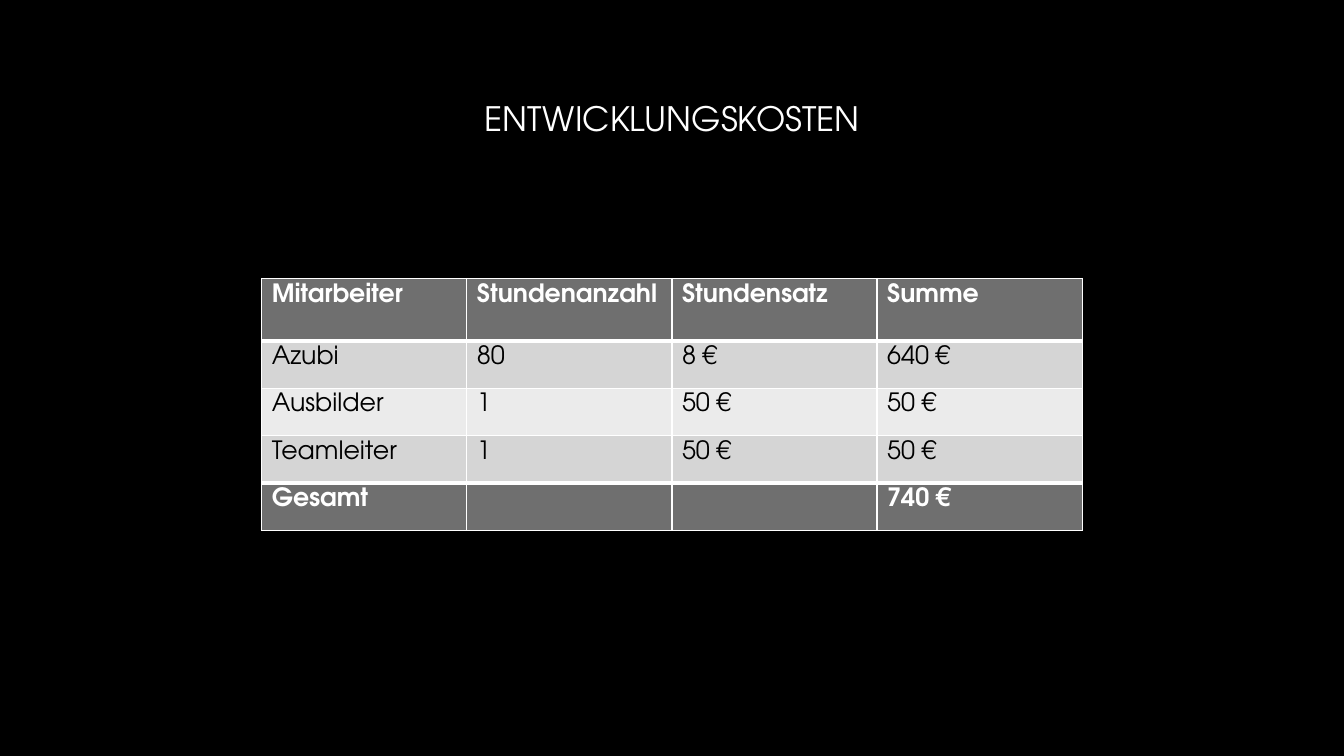
from lxml import etree
from pptx import Presentation
from pptx.dml.color import RGBColor
from pptx.enum.text import MSO_ANCHOR, PP_ALIGN
from pptx.oxml.ns import qn
from pptx.util import Pt

CENTER = PP_ALIGN.CENTER
TOP, MIDDLE = MSO_ANCHOR.TOP, MSO_ANCHOR.MIDDLE

# Content
TITLE = "ENTWICKLUNGSKOSTEN"
COSTS = [
    ("Mitarbeiter", "Stundenanzahl", "Stundensatz", "Summe"),
    ("Azubi", "80", "8 €", "640 €"),
    ("Ausbilder", "1", "50 €", "50 €"),
    ("Teamleiter", "1", "50 €", "50 €"),
    ("Gesamt", "", "", "740 €"),
]

# Look
FONT = "TeX Gyre Adventor"
BLACK, WHITE = "000000", "FFFFFF"
TITLE_GRADIENT = (WHITE, "A6A6A6")
DARK, BANDS = "6F6F6F", ("EBEBEB", "D5D5D5")
THIN, THICK = 1, 3

# Lengths in points
SLIDE_WIDTH, SLIDE_HEIGHT = 960, 540
TITLE_BOX = (90, 48.24, 780, 72.72)
TABLE_TOP, COLUMN_WIDTH = 198.9, 146.5
HEADER_HEIGHT, ROW_HEIGHT = 44.6, 33.8
SIDE_MARGIN, TOP_MARGIN = 7.2, 3.6


def color(value):
    return RGBColor.from_string(value)


def set_borders(cell, top, bottom):
    properties = cell._tc.get_or_add_tcPr()
    for side, width in (("L", THIN), ("R", THIN), ("T", top), ("B", bottom)):
        line = etree.SubElement(properties, qn(f"a:ln{side}"), w=str(Pt(width)))
        fill = etree.SubElement(line, qn("a:solidFill"))
        etree.SubElement(fill, qn("a:srgbClr"), val=WHITE)


presentation = Presentation()
presentation.slide_width = Pt(SLIDE_WIDTH)
presentation.slide_height = Pt(SLIDE_HEIGHT)
slide = presentation.slides.add_slide(presentation.slide_layouts[5])
slide.background.fill.solid()
slide.background.fill.fore_color.rgb = color(BLACK)

# Title
title = slide.shapes.title
title.left, title.top, title.width, title.height = map(Pt, TITLE_BOX)
title.text_frame.vertical_anchor = MIDDLE
paragraph = title.text_frame.paragraphs[0]
paragraph.alignment = CENTER
run = paragraph.add_run()
run.text = TITLE
run.font.name, run.font.size = FONT, Pt(24)
run.font.fill.gradient()
run.font.fill.gradient_angle = 267
for stop, value in zip(run.font.fill.gradient_stops, TITLE_GRADIENT):
    stop.color.rgb = color(value)

# Cost table, centred on the slide
row_count, column_count = len(COSTS), len(COSTS[0])
last = row_count - 1
table_width = column_count * COLUMN_WIDTH
table_height = HEADER_HEIGHT + last * ROW_HEIGHT
table = slide.shapes.add_table(
    row_count, column_count, Pt((SLIDE_WIDTH - table_width) / 2),
    Pt(TABLE_TOP), Pt(table_width), Pt(table_height)).table
table.last_row = True
for column in table.columns:
    column.width = Pt(COLUMN_WIDTH)

for row_index, texts in enumerate(COSTS):
    strong = row_index in (0, last)
    table.rows[row_index].height = Pt(ROW_HEIGHT if row_index else HEADER_HEIGHT)
    # Thick rules lie below the header and above the total
    top = THICK if row_index in (1, last) else THIN
    bottom = THICK if row_index in (0, last - 1) else THIN
    for column_index, text in enumerate(texts):
        cell = table.cell(row_index, column_index)
        set_borders(cell, top, bottom)
        cell.fill.solid()
        cell.fill.fore_color.rgb = color(DARK if strong else BANDS[row_index % 2])
        cell.margin_left = cell.margin_right = Pt(SIDE_MARGIN)
        cell.margin_top, cell.margin_bottom = Pt(TOP_MARGIN), 0
        cell.vertical_anchor = TOP
        cell.text = text
        font = cell.text_frame.paragraphs[0].font
        font.name, font.size, font.bold = FONT, Pt(18), strong
        font.color.rgb = color(WHITE if strong else BLACK)

presentation.save("out.pptx")
